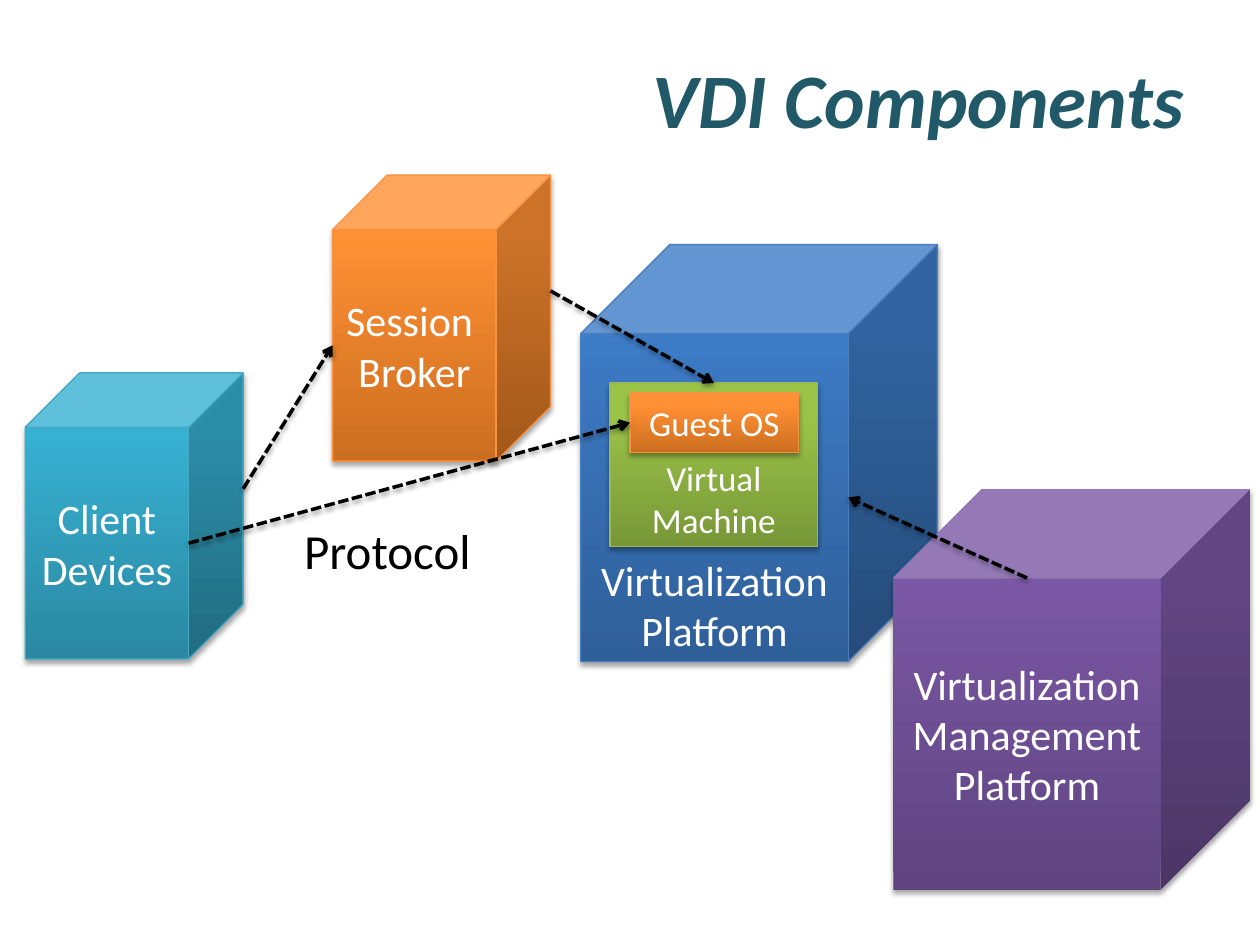
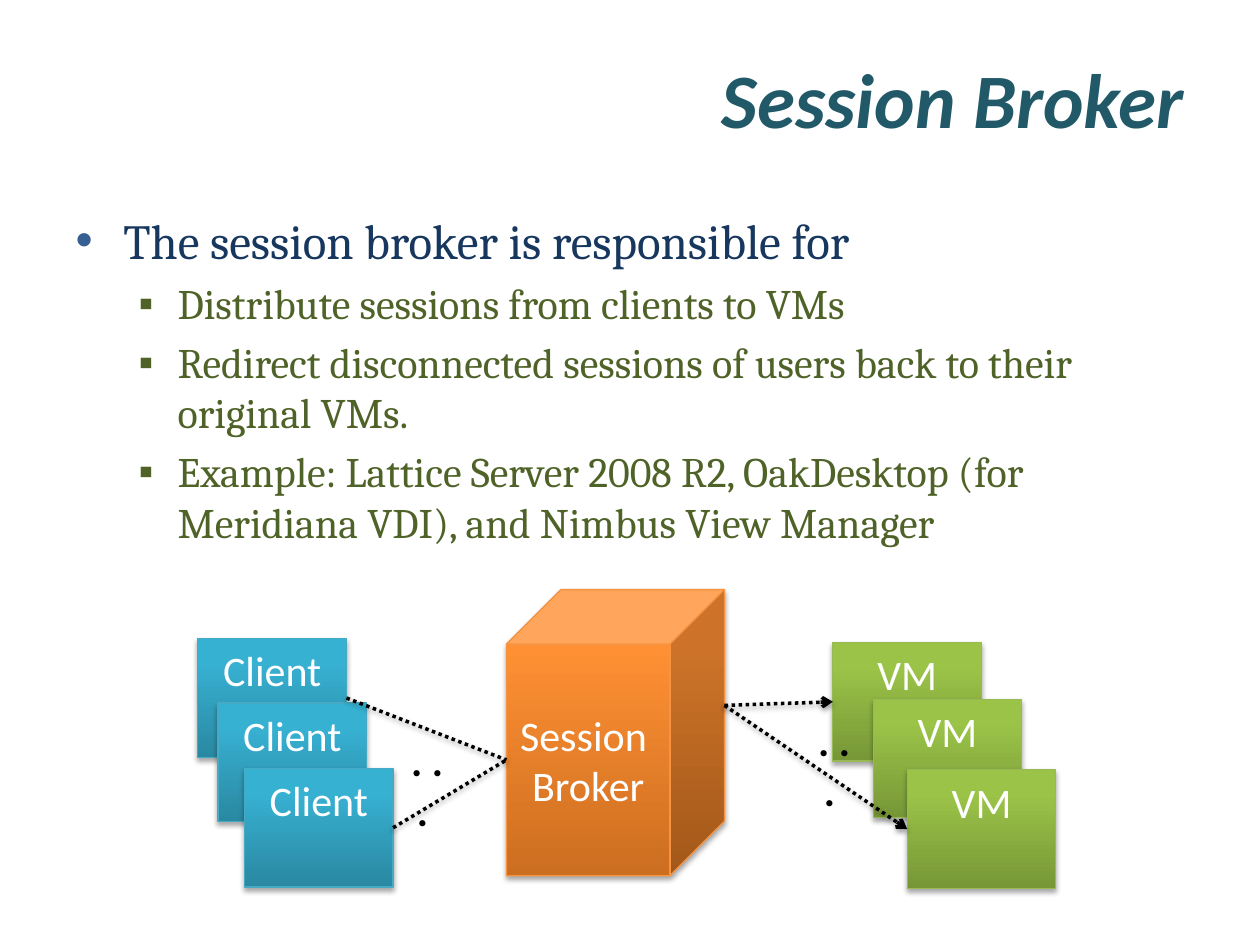
from dataclasses import dataclass

from lxml import etree
from pptx import Presentation
from pptx.dml.color import RGBColor
from pptx.enum.dml import MSO_LINE
from pptx.enum.shapes import MSO_CONNECTOR, MSO_SHAPE
from pptx.enum.text import MSO_ANCHOR, MSO_AUTO_SIZE, PP_ALIGN
from pptx.oxml.ns import qn
from pptx.util import Inches, Pt

CUBE, RECTANGLE = MSO_SHAPE.CUBE, MSO_SHAPE.RECTANGLE
STRAIGHT = MSO_CONNECTOR.STRAIGHT
DASHED, DOTTED = MSO_LINE.SQUARE_DOT, MSO_LINE.ROUND_DOT
TOP, MIDDLE, BOTTOM = MSO_ANCHOR.TOP, MSO_ANCHOR.MIDDLE, MSO_ANCHOR.BOTTOM
CENTER, RIGHT = PP_ALIGN.CENTER, PP_ALIGN.RIGHT
NO_AUTOFIT = MSO_AUTO_SIZE.NONE
SIDE_TOP, SIDE_LEFT, SIDE_RIGHT = 0, 1, 3

COLUMNS, ROWS = 100, 75
CELL = Inches(0.1)
CUBE_DEPTH = 0.25
TITLE_ONLY, TITLE_AND_BODY = 5, 1


@dataclass(frozen=True)
class Paint:
    dark: str
    light: str
    line: str = ""


@dataclass(frozen=True)
class Theme:
    blue = Paint("2F5F99", "3D7CC7", "4B7EBC")
    purple = Paint("5F4480", "7B58A6")
    orange = Paint("CC6E20", "FF9034", "F69240")
    teal = Paint("2A88A2", "37B1D2", "46AAC5")
    green = Paint("779737", "9BC348", "98B955")
    title = "215968"
    point = "17375E"
    point_bullet = "376092"
    subpoint = "4F6228"
    white = "FFFFFF"
    black = "000000"
    sans = "Calibri"
    serif = "Cambria"
    title_size = 44
    large_size = 28
    text_size = 24
    small_size = 20
    outline = 0.75
    arrow_width = 2


THEME = Theme()


@dataclass(frozen=True)
class Box:
    left: float
    top: float
    width: float
    height: float

    def inner(self, left, top, width, height):
        return Box(self.left + left, self.top + top, width, height)

    def lengths(self):
        return [round(n * CELL) for n in (self.left, self.top, self.width, self.height)]

    @property
    def depth(self):
        return CUBE_DEPTH * min(self.width, self.height)

    @property
    def cube_left(self):
        return self.left, self.top + (self.height + self.depth) / 2

    @property
    def cube_right(self):
        return self.left + self.width, self.top + (self.height - self.depth) / 2

    @property
    def front_right(self):
        return self.left + self.width - self.depth, self.cube_left[1]

    @property
    def front_top(self):
        return self.left + (self.width - self.depth) / 2, self.top + self.depth


TITLE_BOX = Box(5, 3, 90, 9.5)
BODY_BOX = Box(5, 16.2, 90, 49.5)
COMPONENTS_BOX = Box(2, 13.9, 97.2, 56.7)
SESSIONS_BOX = Box(15.7, 46.8, 68.1, 23.7)
CUBE_SIZE = (17.3, 22.7)
CARD_SIZE = (11.8, 9.4)


def style(para, size, color, face=THEME.sans, align=None, bold=None, italic=None):
    para.alignment = align
    font = para.font
    font.name, font.size = face, Pt(size)
    font.bold, font.italic = bold, italic
    font.color.rgb = RGBColor.from_string(color)


def set_text(shape, text, size, color, anchor=TOP, align=CENTER, **options):
    frame = shape.text_frame
    frame.text = text
    frame.word_wrap = True
    frame.auto_size = NO_AUTOFIT
    frame.vertical_anchor = anchor
    for para in frame.paragraphs:
        style(para, size, color, align=align, **options)


def move(shape, box):
    shape.left, shape.top, shape.width, shape.height = box.lengths()


def add_shadow(shape, opacity, distance):
    properties = shape.element.spPr
    effects = properties.find(qn("a:effectLst"))
    if effects is None:
        effects = etree.SubElement(properties, qn("a:effectLst"))
    shadow = etree.SubElement(
        effects, qn("a:outerShdw"), blurRad=str(Pt(3.1)), dist=str(Pt(distance)),
        dir="5400000", rotWithShape="0")
    color = etree.SubElement(shadow, qn("a:srgbClr"), val=THEME.black)
    etree.SubElement(color, qn("a:alpha"), val=str(opacity * 1000))


def add_block(page, kind, box, text, paint, size=THEME.text_size, anchor=MIDDLE):
    block = page.shapes.add_shape(kind, *box.lengths())
    block.fill.gradient()
    block.fill.gradient_angle = 90
    for stop, color, position in zip(
            block.fill.gradient_stops, (paint.dark, paint.light), (0, 0.8)):
        stop.color.rgb = RGBColor.from_string(color)
        stop.position = position
    if paint.line:
        block.line.color.rgb = RGBColor.from_string(paint.line)
        block.line.width = Pt(THEME.outline)
    else:
        block.line.fill.background()
    block.shadow.inherit = False
    add_shadow(block, 35, 1.8)
    set_text(block, text, size, THEME.white, anchor)
    return block


def add_label(page, box, text, size, **options):
    label = page.shapes.add_textbox(*box.lengths())
    set_text(label, text, size, THEME.black, **options)


def add_link(page, start, end, dash, arrow=True):
    link = page.shapes.add_connector(STRAIGHT, 0, 0, 0, 0)
    if isinstance(start, tuple):
        link.begin_x, link.begin_y = (round(n * CELL) for n in start)
    else:
        link.begin_connect(*start)
    if isinstance(end, tuple):
        link.end_x, link.end_y = (round(n * CELL) for n in end)
    else:
        link.end_connect(*end)
    link.line.color.rgb = RGBColor.from_string(THEME.black)
    link.line.width = Pt(THEME.arrow_width)
    link.line.dash_style = dash
    if arrow:
        etree.SubElement(link.element.spPr.find(qn("a:ln")), qn("a:tailEnd"), type="arrow")
    add_shadow(link, 38, 1.6)


def add_page(deck, layout, title):
    page = deck.slides.add_slide(deck.slide_layouts[layout])
    move(page.shapes.title, TITLE_BOX)
    set_text(page.shapes.title, title, THEME.title_size, THEME.title, MIDDLE, RIGHT,
             bold=True, italic=True)
    return page


def add_bullet(para, mark, color, margin, indent):
    properties = para._p.get_or_add_pPr()
    properties.set("marL", str(Inches(margin)))
    properties.set("indent", str(Inches(-indent)))
    bullet_color = etree.SubElement(properties, qn("a:buClr"))
    etree.SubElement(bullet_color, qn("a:srgbClr"), val=color)
    etree.SubElement(properties, qn("a:buFont"), typeface="Arial")
    etree.SubElement(properties, qn("a:buChar"), char=mark)


def fill_body(body, box, point, subpoints):
    move(body, box)
    frame = body.text_frame
    frame.text = "\n".join([point, *subpoints])
    frame.auto_size = NO_AUTOFIT
    first, *others = frame.paragraphs
    first.space_before = Pt(0)
    add_bullet(first, "•", THEME.point_bullet, 0.38, 0.38)
    style(first, THEME.large_size, THEME.point, THEME.serif)
    for para in others:
        para.level = 1
        add_bullet(para, "▪", THEME.subpoint, 0.81, 0.31)
        style(para, THEME.text_size, THEME.subpoint, THEME.serif)


def add_broker(page, box):
    add_block(page, CUBE, box, "Session \nBroker", THEME.orange)


def draw_components(page, area):
    platform = area.inner(44.1, 5.5, 28.3, 33.1)
    management = area.inner(68.9, 24.9, 28.3, 31.8)
    broker = area.inner(24.4, 0, *CUBE_SIZE)
    client = area.inner(0, 15.7, *CUBE_SIZE)

    add_block(page, CUBE, platform, "Virtualization\nPlatform", THEME.blue, anchor=BOTTOM)
    add_block(page, CUBE, management, "Virtualization\nManagement\nPlatform", THEME.purple)
    add_broker(page, broker)
    add_block(page, CUBE, client, "Client\nDevices", THEME.teal)
    machine = add_block(page, RECTANGLE, area.inner(46.4, 16.5, 16.5, 13),
                        "Virtual Machine", THEME.green, THEME.small_size, BOTTOM)
    guest = add_block(page, RECTANGLE, area.inner(48, 17.3, 13.4, 4.7),
                      "Guest OS", THEME.orange, THEME.small_size)

    for start, end in (
            (client.cube_right, broker.cube_left),
            (broker.cube_right, [machine, SIDE_TOP]),
            (client.front_right, [guest, SIDE_LEFT]),
            (management.front_top, platform.front_right)):
        add_link(page, start, end, DASHED)
    add_label(page, area.inner(18.9, 26.9, 19.7, 5.7), "Protocol", THEME.large_size)


def add_stack(page, area, text, paint, corners):
    return [add_block(page, RECTANGLE, area.inner(*corner, *CARD_SIZE), text, paint, anchor=TOP)
            for corner in corners]


def draw_sessions(page, area):
    broker = area.inner(24.5, 0, *CUBE_SIZE)
    clients = add_stack(page, area, "Client", THEME.teal, ((0, 3.9), (1.6, 9), (3.7, 14.2)))
    add_broker(page, broker)
    machines = add_stack(page, area, "VM", THEME.green,
                         ((50.4, 4.2), (53.6, 8.7), (56.3, 14.3)))
    for client in clients[::2]:
        add_link(page, [client, SIDE_RIGHT], broker.cube_left, DOTTED, arrow=False)
    for machine in machines[::2]:
        add_link(page, broker.cube_right, [machine, SIDE_LEFT], DOTTED)
    for left, top in ((15.3, 11), (47.6, 9.4)):
        add_label(page, area.inner(left, top, 5.8, 5), ". . . ", THEME.text_size, bold=True)


def main():
    deck = Presentation()
    deck.slide_width, deck.slide_height = COLUMNS * CELL, ROWS * CELL

    page = add_page(deck, TITLE_ONLY, "VDI Components")
    draw_components(page, COMPONENTS_BOX)

    page = add_page(deck, TITLE_AND_BODY, "Session Broker")
    fill_body(page.placeholders[1], BODY_BOX, "The session broker is responsible for", (
        "Distribute sessions from clients to VMs",
        "Redirect disconnected sessions of users back to their original VMs.",
        "Example: Lattice Server 2008 R2, OakDesktop (for Meridiana VDI), "
        "and Nimbus View Manager"))
    draw_sessions(page, SESSIONS_BOX)

    deck.save("out.pptx")


if __name__ == "__main__":
    main()
